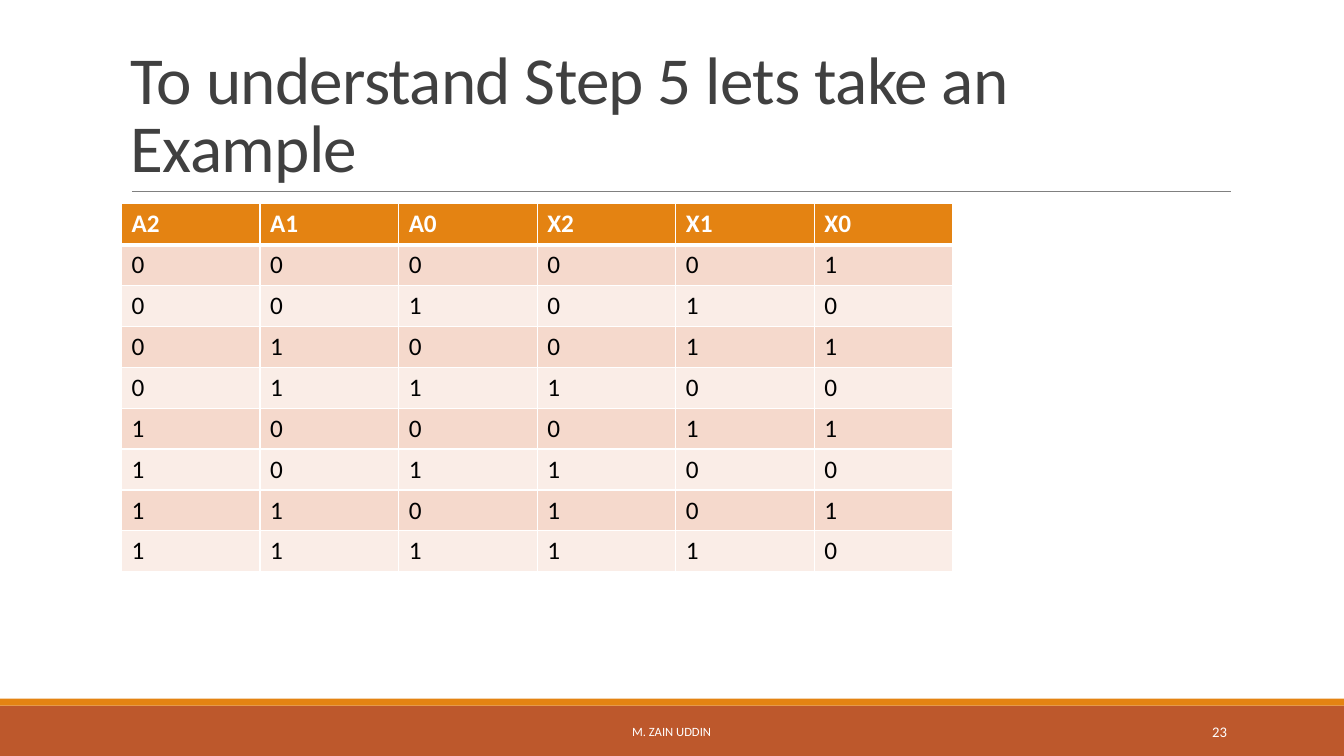
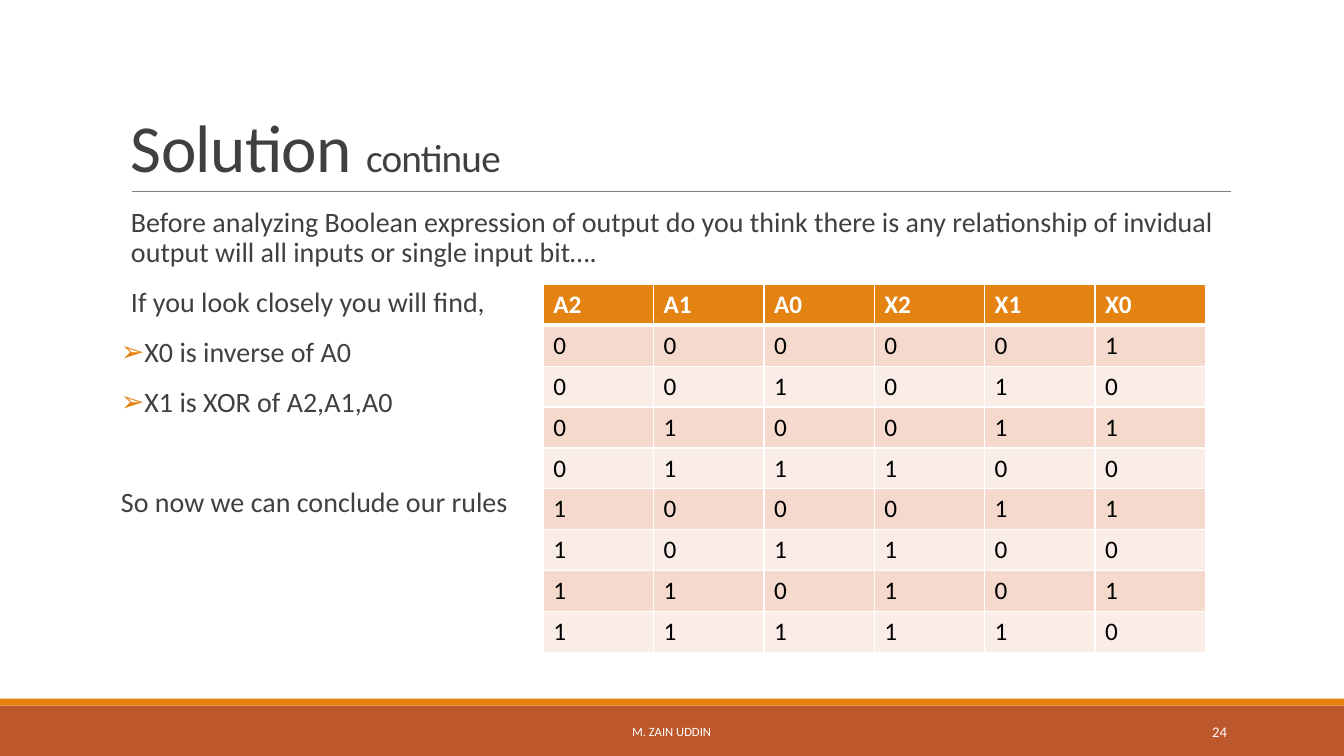
from lxml import etree
from pptx import Presentation
from pptx.dml.color import RGBColor
from pptx.enum import shapes, text
from pptx.oxml.ns import qn
from pptx.util import Pt

COLORS = {
    "rust": "BD582C", "orange": "E48312", "rule": "808080", "ink": "404040",
    "white": "FFFFFF", "black": "000000", "band_dark": "F5D9CC", "band_light": "FAEDE7",
}
FONT = "Calibri"
WIDTH, HEIGHT = 960, 540
LEFT, CONTENT_WIDTH = 86.4, 792
ROW_HEIGHT = 29.2
BODY_SIZE = 20

HEADINGS = ("A2", "A1", "A0", "X2", "X1", "X0")
TRUTH_ROWS = ("000001", "001010", "010011", "011100",
              "100011", "101100", "110101", "111110")


def rgb(name):
    return RGBColor.from_string(COLORS[name])


def write(paragraph, words, size=18, color="ink", bold=False, tracking=None):
    """Add one formatted run to a paragraph."""
    run = paragraph.add_run()
    run.text = words
    run.font.name, run.font.size, run.font.bold = FONT, Pt(size), bold
    run.font.color.rgb = rgb(color)
    if tracking is not None:
        run.font._element.set("spc", str(round(tracking * 100)))


def text_frame(slide, box, anchor, side_inset=7.2):
    frame = slide.shapes.add_textbox(*map(Pt, box)).text_frame
    frame.word_wrap = True
    frame.vertical_anchor = anchor
    frame.margin_left = frame.margin_right = Pt(side_inset)
    frame.margin_top = frame.margin_bottom = Pt(3.6)
    return frame


def band(slide, box, color):
    bar = slide.shapes.add_shape(shapes.MSO_SHAPE.RECTANGLE, *map(Pt, box))
    bar.shadow.inherit = False
    bar.fill.solid()
    bar.fill.fore_color.rgb = rgb(color)
    bar.line.fill.background()


def title(slide, box, runs):
    """Title above its rule; runs are (words, size) pairs."""
    left, top, width, height = box
    rule_y = top + height
    rule = slide.shapes.add_connector(
        shapes.MSO_CONNECTOR.STRAIGHT,
        Pt(left + 7.9), Pt(rule_y), Pt(left + width + 0.7), Pt(rule_y))
    rule.line.color.rgb, rule.line.width = rgb("rule"), Pt(0.5)
    etree.SubElement(rule._element.spPr, qn("a:effectLst"))

    heading = text_frame(slide, box, text.MSO_ANCHOR.BOTTOM).paragraphs[0]
    heading.line_spacing = 0.85
    for words, size in runs:
        write(heading, words, size=size, tracking=-0.5)


def footer(slide, box, number):
    """Two bands with the author in the middle and the slide number at the right."""
    left, top, width, height = box
    band(slide, (left, top, width, height), "rust")
    band(slide, (left, top - 5, width, 5), "orange")
    labels = (("M. ZAIN UDDIN", 290, 379.4, 9, text.PP_ALIGN.CENTER),
              (str(number), 779.8, 103.7, 10.5, text.PP_ALIGN.RIGHT))
    for words, offset, label_width, size, align in labels:
        label_box = (left + offset, top + 4.3, label_width, 28.8)
        label = text_frame(slide, label_box, text.MSO_ANCHOR.MIDDLE).paragraphs[0]
        label.alignment = align
        write(label, words, size=size, color="white")


def cell_borders(cell, **widths):
    properties = cell._tc.get_or_add_tcPr()
    for side in ("lnL", "lnR", "lnT", "lnB"):
        line = etree.SubElement(properties, qn("a:" + side), w=str(Pt(widths.get(side, 1))))
        fill = etree.SubElement(line, qn("a:solidFill"))
        etree.SubElement(fill, qn("a:srgbClr"), val=COLORS["white"])


def truth_table(slide, left, top, width):
    rows = (HEADINGS, *TRUTH_ROWS)
    table = slide.shapes.add_table(
        len(rows), len(HEADINGS), Pt(left), Pt(top),
        Pt(width), Pt(ROW_HEIGHT * len(rows))).table
    table.horz_banding = False
    for column in table.columns:
        column.width = Pt(width / len(HEADINGS))
    for r, values in enumerate(rows):
        table.rows[r].height = Pt(ROW_HEIGHT)
        is_header = r == 0
        fill = "orange" if is_header else ("band_light", "band_dark")[r % 2]
        # The thick line lies between the header and the first data row
        thick = {0: {"lnB": 3}, 1: {"lnT": 3}}.get(r, {})
        for c, value in enumerate(values):
            cell = table.cell(r, c)
            cell_borders(cell, **thick)
            cell.fill.solid()
            cell.fill.fore_color.rgb = rgb(fill)
            write(cell.text_frame.paragraphs[0], value, bold=is_header,
                  color="white" if is_header else "black")


def bullet(properties, symbol):
    color = etree.SubElement(properties, qn("a:buClr"))
    etree.SubElement(color, qn("a:srgbClr"), val=COLORS["orange"])
    etree.SubElement(properties, qn("a:buFont"), typeface=FONT)
    etree.SubElement(properties, qn("a:buChar"), char=symbol)


def body(slide, box, items):
    """Body text; items are (words, left margin, bullet symbol, space before)."""
    frame = text_frame(slide, box, text.MSO_ANCHOR.TOP, side_inset=0)
    for i, (words, margin, symbol, space_before) in enumerate(items):
        paragraph = frame.add_paragraph() if i else frame.paragraphs[0]
        paragraph.line_spacing = 0.9
        paragraph.space_before, paragraph.space_after = Pt(space_before), Pt(2)
        properties = paragraph._p.get_or_add_pPr()
        properties.set("marL", str(Pt(margin)))
        properties.set("indent", str(Pt(-margin if symbol else 0)))
        if symbol:
            bullet(properties, symbol)
        write(paragraph, words, size=BODY_SIZE)


def new_slide(deck, title_runs, number):
    slide = deck.slides.add_slide(deck.slide_layouts[6])
    footer(slide, (0, HEIGHT - 36, WIDTH, 36), number)
    title(slide, (LEFT, 22.3, CONTENT_WIDTH, 114.4), title_runs)
    return slide


def main():
    deck = Presentation()
    deck.slide_width, deck.slide_height = Pt(WIDTH), Pt(HEIGHT)

    # Example table
    example = new_slide(deck, [("To understand Step 5 lets take an Example", 48)], 23)
    truth_table(example, LEFT + 0.4, 145.6, 594)

    # Observations beside the table
    solution = new_slide(deck, [("Solution ", 48), ("continue", 28)], 24)
    body(solution, (LEFT, 145.4, CONTENT_WIDTH, 316.8), (
        ("Before analyzing Boolean expression of output do you think there is any "
         "relationship of invidual output will all inputs or single input bit….", 7.2, None, 12),
        ("If you look closely you will find,", 7.2, None, 12),
        ("X0 is inverse of A0", 7.2, "➢", 12),
        ("X1 is XOR of A2,A1,A0", 7.2, "➢", 12),
        ("So now we can conclude our rules", 0, None, 48),
    ))
    truth_table(solution, 388, 203.2, 473)

    deck.save("out.pptx")


if __name__ == "__main__":
    main()
